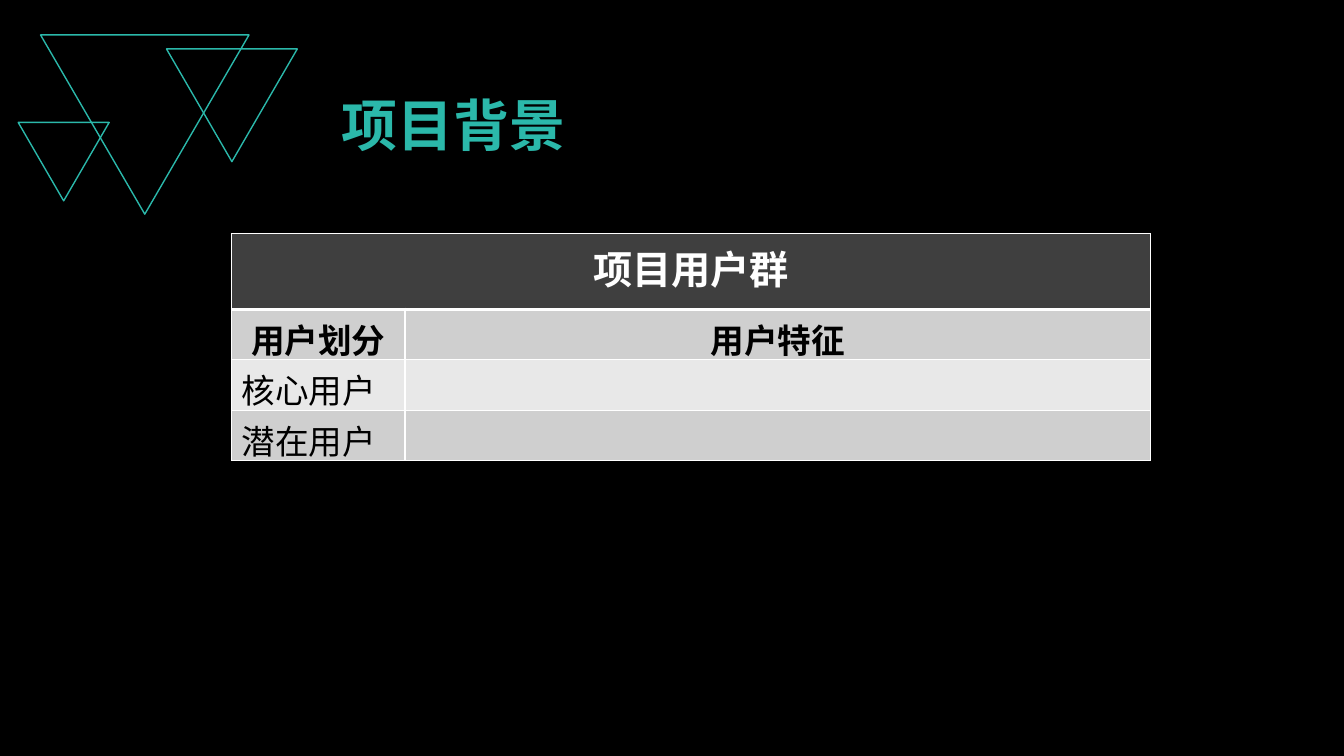
from pptx import Presentation
from pptx.dml.color import RGBColor
from pptx.enum.shapes import MSO_SHAPE as Preset
from pptx.enum.text import PP_ALIGN as Align
from pptx.oxml import parse_xml
from pptx.oxml.ns import nsdecls, qn
from pptx.util import Pt

FONT = "Noto Sans CJK SC"
BLACK = RGBColor(0x00, 0x00, 0x00)
WHITE = RGBColor(0xFF, 0xFF, 0xFF)
TEAL = RGBColor(0x2B, 0xB8, 0xAA)
HEADER_GREY = RGBColor(0x3F, 0x3F, 0x3F)
MID_GREY = RGBColor(0xCF, 0xCF, 0xCF)
LIGHT_GREY = RGBColor(0xE8, 0xE8, 0xE8)

TITLE = dict(size=Pt(40), bold=True, color=TEAL)
TABLE_TITLE = dict(size=Pt(28), bold=True, color=WHITE)
COLUMN_HEAD = dict(size=Pt(24), bold=True, color=BLACK)
BODY = dict(size=Pt(24), bold=False, color=BLACK)


def write(paragraph, text, style, align=Align.LEFT):
    paragraph.alignment = align
    run = paragraph.add_run()
    run.text = text
    for name, value in dict(style, name=FONT).items():
        if name == "color":
            run.font.color.rgb = value
        else:
            setattr(run.font, name, value)
    # Chinese glyphs take the East Asian typeface
    run.font._element.append(
        parse_xml(f'<a:ea {nsdecls("a")} typeface="{FONT}"/>'))


def add_triangles(slide, left, top):
    # Offsets from the corner of the group, then width and height
    for x, y, width, height in ((16, 0, 149, 128),
                                (106, 10, 93.5, 80.5),
                                (0, 62.5, 65, 56)):
        triangle = slide.shapes.add_shape(
            Preset.ISOSCELES_TRIANGLE,
            Pt(left + x), Pt(top + y), Pt(width), Pt(height))
        triangle.shadow.inherit = False
        triangle.fill.background()
        triangle.line.color.rgb = TEAL
        triangle.line.width = Pt(1)
        triangle._element.spPr.find(qn("a:xfrm")).set("flipV", "1")


def add_title(slide, left, top, width, height):
    box = slide.shapes.add_textbox(Pt(left), Pt(top), Pt(width), Pt(height))
    box.text_frame.word_wrap = True
    write(box.text_frame.paragraphs[0], "项目背景", TITLE)


def set_borders(cell, bottom=1):
    properties = cell._tc.get_or_add_tcPr()
    widths = dict(lnL=1, lnR=1, lnT=1, lnB=bottom)
    for index, (tag, width) in enumerate(widths.items()):
        properties.insert(index, parse_xml(
            f'<a:{tag} {nsdecls("a")} w="{Pt(width)}"><a:solidFill>'
            f'<a:srgbClr val="{WHITE}"/></a:solidFill></a:{tag}>'))


def add_user_table(slide, left, top, width, height):
    rows = (
        (("项目用户群", ""), TABLE_TITLE, Align.CENTER, HEADER_GREY),
        (("用户划分", "用户特征"), COLUMN_HEAD, Align.CENTER, MID_GREY),
        (("核心用户", ""), BODY, Align.LEFT, LIGHT_GREY),
        (("潜在用户", ""), BODY, Align.LEFT, MID_GREY),
    )
    head_height, label_width = 54, 124
    row_height = (height - head_height) / (len(rows) - 1)
    table = slide.shapes.add_table(
        len(rows), 2, Pt(left), Pt(top), Pt(width), Pt(height)).table
    table.columns[0].width = Pt(label_width)
    table.columns[1].width = Pt(width - label_width)
    table.cell(0, 0).merge(table.cell(0, 1))

    for index, (texts, style, align, fill) in enumerate(rows):
        table.rows[index].height = Pt(row_height if index else head_height)
        for column, text in enumerate(texts):
            cell = table.cell(index, column)
            cell.fill.solid()
            cell.fill.fore_color.rgb = fill
            set_borders(cell, bottom=1 if index else 3)
            if text:
                write(cell.text_frame.paragraphs[0], text, style, align)


def build_background_slide(presentation):
    slide = presentation.slides.add_slide(presentation.slide_layouts[6])
    slide.background.fill.solid()
    slide.background.fill.fore_color.rgb = BLACK
    add_triangles(slide, 13, 25)
    add_title(slide, 237, 61, 529, 55.5)
    add_user_table(slide, 165.5, 167, 657, 162)


def main():
    presentation = Presentation()
    presentation.slide_width = Pt(960.5)
    presentation.slide_height = Pt(540)
    build_background_slide(presentation)
    presentation.save("out.pptx")


if __name__ == "__main__":
    main()
